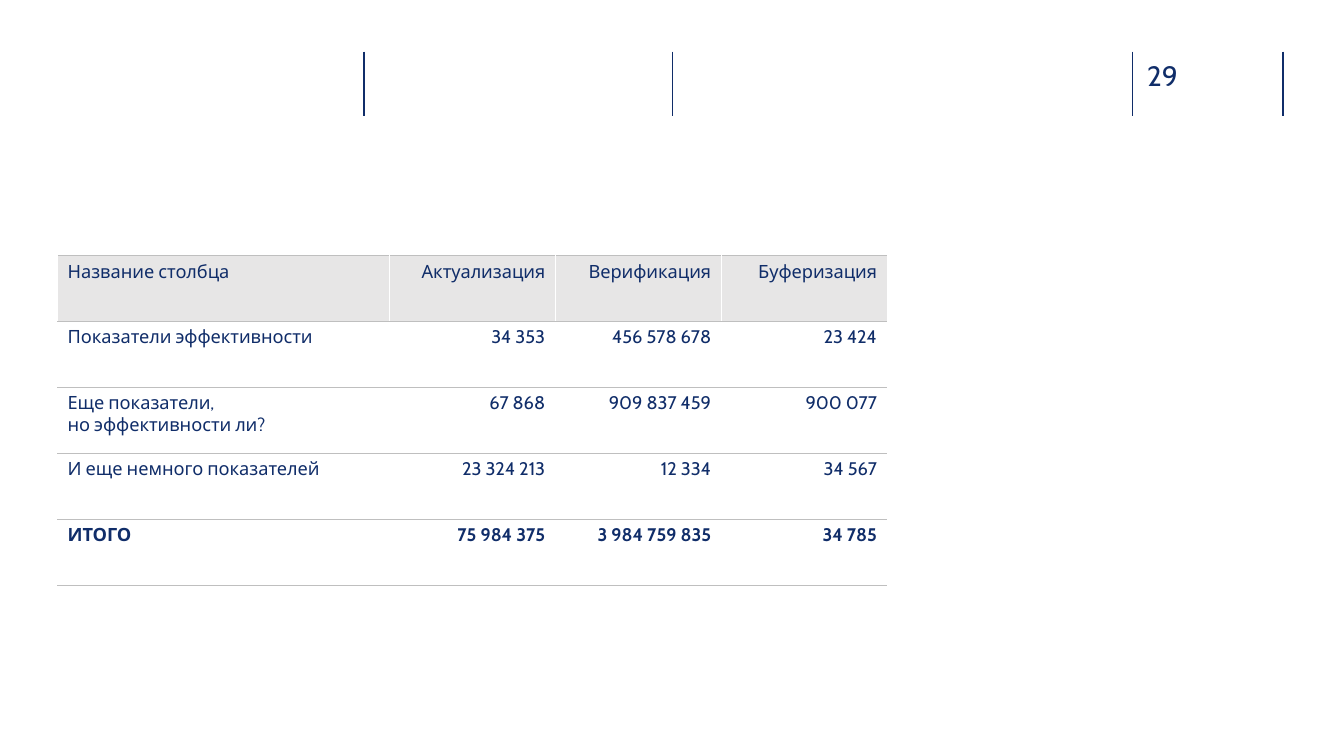
import typing

import lxml.etree
import pptx
import pptx.dml.color
import pptx.enum.shapes
import pptx.enum.text
import pptx.oxml.ns
import pptx.util

Cm = pptx.util.Cm
Pt = pptx.util.Pt
qn = pptx.oxml.ns.qn

NAVY = "102D69"
GRAY = "BFBFBF"
SHADE = "E7E6E6"
WHITE = "FFFFFF"


class Rule(typing.NamedTuple):
    x: float
    top: float = 1.3
    end: float = 2.93


class Edge(typing.NamedTuple):
    tag: str
    tint: str
    width: float


class Row(typing.NamedTuple):
    cells: tuple[str, ...]
    fill: str = ""
    bold: bool = False


RULES = [Rule(9.17), Rule(16.95), Rule(28.54), Rule(32.33)]
EDGES = [
    Edge("a:lnL", WHITE, 0.25),
    Edge("a:lnR", WHITE, 0.25),
    Edge("a:lnT", GRAY, 0.75),
    Edge("a:lnB", GRAY, 0.75),
]
ROWS = [
    Row(("Название столбца", "Актуализация", "Верификация", "Буферизация"), fill=SHADE),
    Row(("Показатели эффективности", "34 353", "456 578 678", "23 424")),
    Row(("Еще показатели,\nно эффективности ли?", "67 868", "909 837 459", "900 077")),
    Row(("И еще немного показателей", "23 324 213", "12 334", "34 567")),
    Row(("ИТОГО", "75 984 375", "3 984 759 835", "34 785"), bold=True),
]
WIDTHS = [8.36, 4.18, 4.18, 4.18]
HEIGHT = 1.66


def hue(code: str) -> pptx.dml.color.RGBColor:
    return pptx.dml.color.RGBColor.from_string(code)


def put(target, values: dict) -> None:
    for name, value in values.items():
        setattr(target, name, value)


def write(para, text: str, size: float, bold: bool = False) -> None:
    para.text = text
    look = {"name": "Cabin", "size": Pt(size), "bold": bold}
    for part in (para, *para.runs):
        put(part.font, look)
        part.font.color.rgb = hue(NAVY)


def draw_rule(slide, rule: Rule) -> None:
    line = slide.shapes.add_connector(
        pptx.enum.shapes.MSO_CONNECTOR.STRAIGHT,
        Cm(rule.x), Cm(rule.top), Cm(rule.x), Cm(rule.end),
    )
    line.line.width = Pt(1)
    line.line.color.rgb = hue(NAVY)
    lxml.etree.SubElement(line._element.spPr, qn("a:effectLst"))


def draw_edge(cell, edge: Edge) -> None:
    props = cell._tc.get_or_add_tcPr()
    line = lxml.etree.SubElement(props, qn(edge.tag), w=str(Pt(edge.width)))
    fill = lxml.etree.SubElement(line, qn("a:solidFill"))
    lxml.etree.SubElement(fill, qn("a:srgbClr"), val=edge.tint)


def draw_cell(cell, text: str, row: Row, right: bool) -> None:
    for edge in EDGES:
        draw_edge(cell, edge)
    if row.fill:
        cell.fill.solid()
        cell.fill.fore_color.rgb = hue(row.fill)
    else:
        cell.fill.background()
    para = cell.text_frame.paragraphs[0]
    align = pptx.enum.text.PP_ALIGN
    para.alignment = align.RIGHT if right else align.LEFT
    write(para, text, 13, row.bold)


def draw_table(slide) -> None:
    frame = slide.shapes.add_table(
        len(ROWS), len(WIDTHS), Cm(1.45), Cm(6.44),
        Cm(sum(WIDTHS)), Cm(HEIGHT * len(ROWS)),
    )
    table = frame.table
    put(table, {"first_row": False, "horz_banding": False})
    for col, width in zip(table.columns, WIDTHS):
        col.width = Cm(width)
    for line, row in zip(table.rows, ROWS):
        line.height = Cm(HEIGHT)
        for index, (cell, text) in enumerate(zip(line.cells, row.cells)):
            draw_cell(cell, text, row, index > 0)


def draw_page(slide) -> None:
    box = slide.shapes.add_textbox(Cm(28.91), Cm(1.47), Cm(1.85), Cm(0.86))
    put(box.text_frame, {
        "word_wrap": True,
        "margin_left": 0,
        "margin_top": 0,
        "margin_right": 0,
        "margin_bottom": 0,
    })
    write(box.text_frame.paragraphs[0], "29", 20)


def main() -> None:
    deck = pptx.Presentation()
    put(deck, {"slide_width": Cm(33.87), "slide_height": Cm(19.05)})
    slide = deck.slides.add_slide(deck.slide_layouts[6])
    for rule in RULES:
        draw_rule(slide, rule)
    draw_page(slide)
    draw_table(slide)
    deck.save("out.pptx")


if __name__ == "__main__":
    main()
